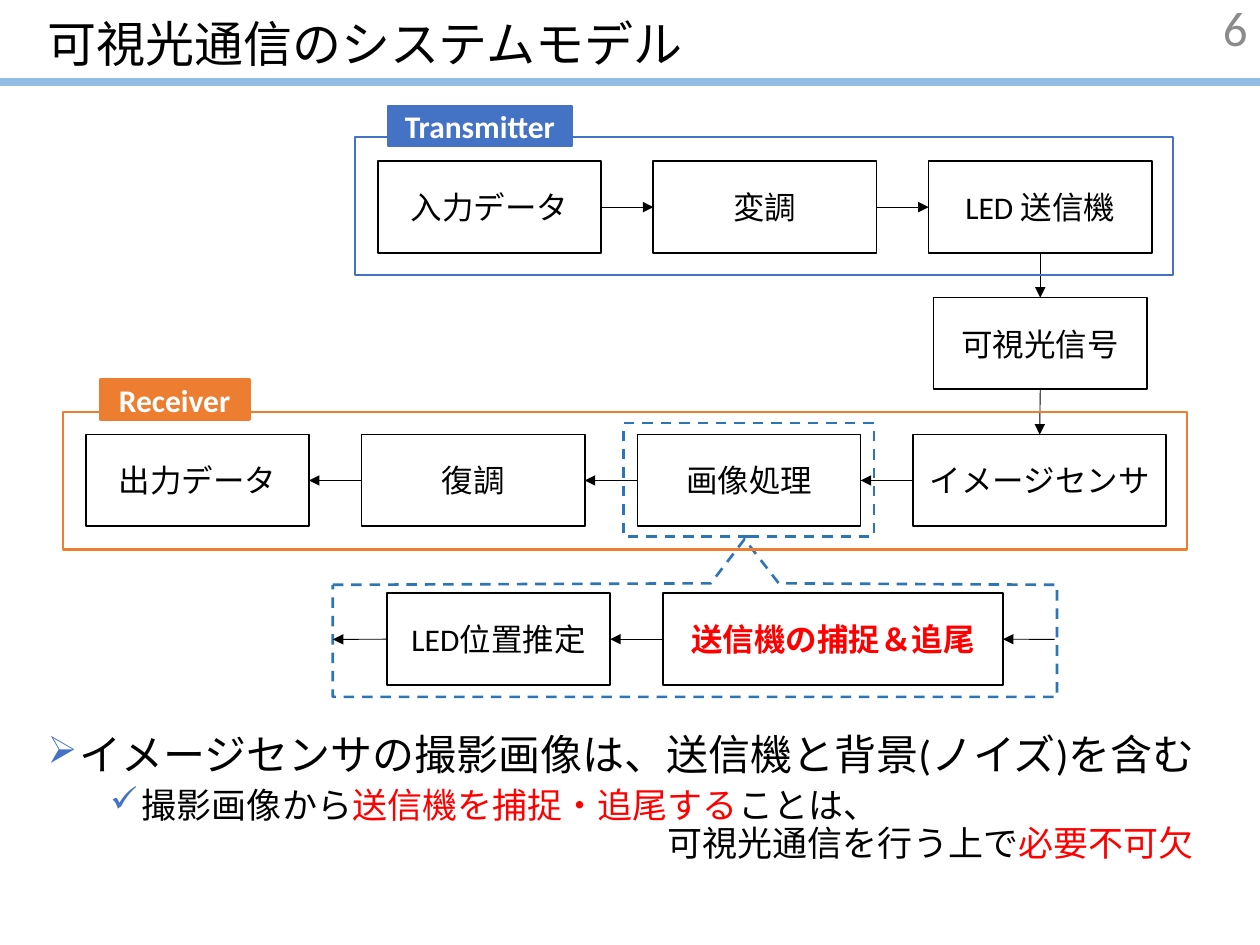
from dataclasses import dataclass

from lxml import etree
from pptx import Presentation
from pptx import util as u
from pptx.dml.color import RGBColor
from pptx.enum import dml, shapes, text
from pptx.oxml import ns


@dataclass(frozen=True)
class Theme:
    font: str = "Calibri"
    ink: str = "000000"
    white: str = "FFFFFF"
    gray: str = "8C8C8C"
    red: str = "FF0000"
    blue: str = "4472C4"
    orange: str = "ED7D31"
    dash: str = "2E75B6"
    rule: str = "91BCE3"
    head: int = 28
    body: int = 24
    sub: int = 20
    label: int = 18


def add(node, tag, **attrs):
    return etree.SubElement(node, ns.qn(tag), attrs)


class Sheet:
    def __init__(self, slide, theme):
        self.slide = slide
        self.theme = theme

    def font(self, font, size, color, bold=False):
        font.name = self.theme.font
        font.size = u.Pt(size)
        font.bold = bold
        font.color.rgb = RGBColor.from_string(color)

    def style(self, shape, color, width, fill=None, dash=False):
        shape.shadow.inherit = False
        shape.line.color.rgb = RGBColor.from_string(color)
        shape.line.width = u.Pt(width)
        if dash:
            shape.line.dash_style = dml.MSO_LINE.DASH
        if fill:
            shape.fill.solid()
            shape.fill.fore_color.rgb = RGBColor.from_string(fill)
        else:
            shape.fill.background()

    def frame(self, x, y, w, h, color, width=1.25, fill=None, dash=False):
        shape = self.slide.shapes.add_shape(
            shapes.MSO_SHAPE.RECTANGLE, u.Cm(x), u.Cm(y), u.Cm(w), u.Cm(h))
        self.style(shape, color, width, fill, dash)
        return shape

    def label(self, shape, words, color, bold):
        frame = shape.text_frame
        frame.word_wrap = True
        frame.vertical_anchor = text.MSO_ANCHOR.MIDDLE
        para = frame.paragraphs[0]
        para.text = words
        para.alignment = text.PP_ALIGN.CENTER
        self.font(para.font, self.theme.label, color, bold)

    def box(self, words, x, y, w=4.5, color=None, bold=False):
        shape = self.frame(x, y, w, 1.85, self.theme.ink, 1)
        self.label(shape, words, color or self.theme.ink, bold)
        return shape

    def tag(self, words, x, y, w, color):
        shape = self.frame(x, y, w, 0.81, color, fill=color)
        self.label(shape, words, self.theme.white, True)

    def shell(self, points):
        start, *rest = [(u.Cm(x), u.Cm(y)) for x, y in points]
        pen = self.slide.shapes.build_freeform(*start)
        pen.add_line_segments(rest, close=True)
        self.style(pen.convert_to_shape(), self.theme.dash, 1.5, dash=True)

    def line(self, start, end, color, width):
        link = self.slide.shapes.add_connector(
            shapes.MSO_CONNECTOR.STRAIGHT, *map(u.Cm, start + end))
        link.line.color.rgb = RGBColor.from_string(color)
        link.line.width = u.Pt(width)
        add(link._element.spPr, "a:effectLst")
        return link

    def arrow(self, start=None, end=None, away=(0, 0)):
        link = self.line(away, away, self.theme.ink, 0.5)
        add(link.line._get_or_add_ln(), "a:tailEnd", type="triangle")
        if start:
            link.begin_connect(*start)
        if end:
            link.end_connect(*end)

    def area(self, x, y, w, h, anchor=text.MSO_ANCHOR.MIDDLE):
        frame = self.slide.shapes.add_textbox(
            u.Cm(x), u.Cm(y), u.Cm(w), u.Cm(h)).text_frame
        frame.word_wrap = True
        frame.vertical_anchor = anchor
        return frame

    def title(self, words, number):
        para = self.area(0.71, 0, 23.95, 1.88).paragraphs[0]
        para.text = words
        para.line_spacing = 0.9
        self.font(para.font, self.theme.head, self.theme.ink)
        para = self.area(19.69, 0.03, 5.71, 1.02).paragraphs[0]
        para.text = number
        para.alignment = text.PP_ALIGN.RIGHT
        self.font(para.font, self.theme.head, self.theme.gray)

    def point(self, para, runs, size, left, mark=None, scale=100, before=0):
        props = para._p.get_or_add_pPr()
        props.set("marL", str(u.Cm(left)))
        if mark:
            props.set("indent", str(u.Cm(-0.64)))
            add(add(props, "a:buClr"), "a:srgbClr", val=self.theme.blue)
            add(props, "a:buSzPct", val=str(scale * 1000))
            add(props, "a:buChar", char=mark)
        para.line_spacing = 0.9
        para.space_before = u.Pt(before)
        self.font(para.font, size, self.theme.ink)
        for words, color in runs:
            run = para.add_run()
            run.text = words
            if color != self.theme.ink:
                run.font.color.rgb = RGBColor.from_string(color)


def main():
    deck = Presentation()
    deck.slide_width, deck.slide_height = u.Cm(25.4), u.Cm(19.05)
    theme = Theme()
    sheet = Sheet(deck.slides.add_slide(deck.slide_layouts[6]), theme)
    top, left, bottom, right = range(4)

    sheet.line((0, 1.65), (25.4, 1.65), theme.rule, 4.5)
    sheet.title("可視光通信のシステムモデル", "6")

    send = [sheet.box(words, 7.62 + 5.55 * i, 3.25)
            for i, words in enumerate(["入力データ", "変調", "LED 送信機"])]
    take = [sheet.box(words, 1.73 + 5.56 * i, 8.76, w)
            for i, (words, w) in enumerate([
                ("出力データ", 4.5), ("復調", 4.5),
                ("画像処理", 4.5), ("イメージセンサ", 5.1)])]
    signal = sheet.box("可視光信号", 18.82, 6)

    signal.width = u.Cm(4.3)
    sheet.frame(12.57, 8.53, 5.05, 2.29, theme.dash, 1.5, dash=True)
    sheet.shell([(6.71, 11.79), (14.33, 11.76), (15.01, 10.87),
                 (15.7, 11.76), (21.31, 11.79), (21.31, 14.05),
                 (6.71, 14.05)])
    track = sheet.box("送信機の捕捉＆追尾", 13.36, 11.96, 6.86, theme.red, True)
    place = sheet.box("LED位置推定", 7.8, 11.96)

    for a, b in zip(send, send[1:]):
        sheet.arrow((a, right), (b, left))
    for a, b in zip(take[1:], take):
        sheet.arrow((a, left), (b, right))
    sheet.arrow((send[-1], bottom), (signal, top))
    sheet.arrow((signal, bottom), (take[-1], top))
    sheet.arrow((track, left), (place, right))
    sheet.arrow(start=(place, left), away=(6.71, 12.89))
    sheet.arrow(end=(track, right), away=(21.26, 12.89))

    sheet.frame(7.16, 2.77, 16.48, 2.77, theme.blue)
    sheet.frame(1.27, 8.31, 22.66, 2.77, theme.orange)
    sheet.tag("Receiver", 2.01, 7.65, 3.02, theme.orange)
    sheet.tag("Transmitter", 7.82, 2.13, 3.71, theme.blue)

    body = sheet.area(0.71, 14.68, 23.95, 3.73, text.MSO_ANCHOR.TOP)
    sheet.point(body.paragraphs[0],
                [("イメージセンサの撮影画像は、送信機と背景(ノイズ)を含む", theme.ink)],
                theme.body, 0.64, "➢", 90)
    sheet.point(body.add_paragraph(),
                [("撮影画像から", theme.ink), ("送信機を捕捉・追尾する", theme.red),
                 ("ことは、", theme.ink)],
                theme.sub, 1.9, "✓", before=5)
    sheet.point(body.add_paragraph(),
                [("可視光通信を行う上で", theme.ink), ("必要不可欠", theme.red)],
                theme.sub, 12.5)

    deck.save("out.pptx")


if __name__ == "__main__":
    main()
